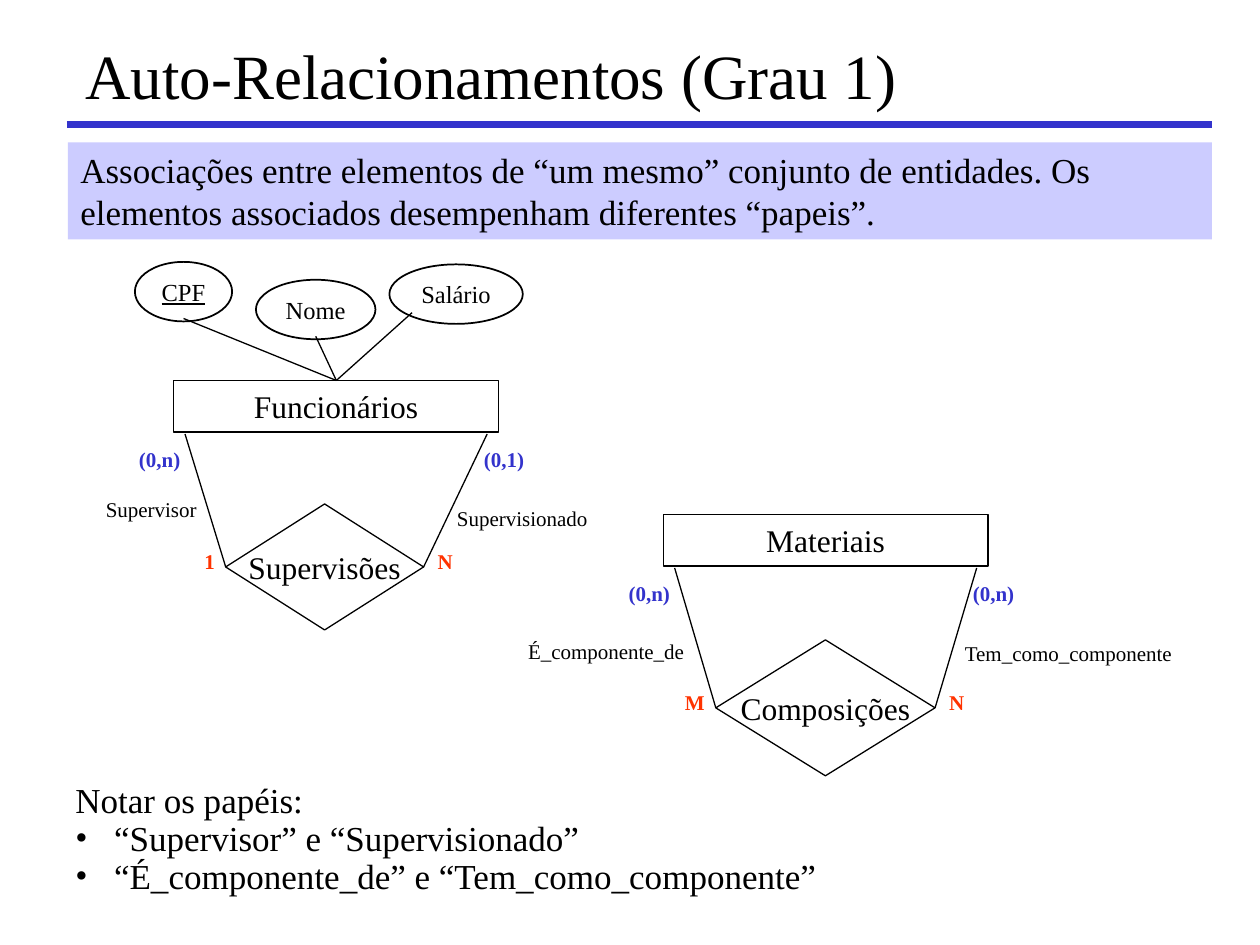
from dataclasses import dataclass

from lxml import etree
from pptx import Presentation
from pptx.dml.color import RGBColor
from pptx.enum import shapes, text
from pptx.oxml import ns
from pptx.util import Cm, Pt

LEFT, CENTER = text.PP_ALIGN.LEFT, text.PP_ALIGN.CENTER
TOP, MIDDLE = text.MSO_ANCHOR.TOP, text.MSO_ANCHOR.MIDDLE


@dataclass(frozen=True)
class Theme:
    font: str = "Times New Roman"
    ink: str = "000000"
    blue: str = "3333CC"
    red: str = "FF3300"
    panel: str = "CCCCFF"
    title: int = 36
    body: int = 20
    entity: int = 18
    attribute: int = 14
    label: int = 12
    thin: float = 0.75


T = Theme()


def rgb(value):
    return RGBColor.from_string(value)


def write(sp, content, size, color=T.ink, bold=False, underline=False,
          align=LEFT, anchor=TOP, wrap=True):
    tf = sp.text_frame
    tf.text = content
    tf.word_wrap = wrap
    tf.vertical_anchor = anchor
    for p in tf.paragraphs:
        p.alignment = align
        for r in p.runs:
            r.font.name, r.font.size = T.font, Pt(size)
            r.font.bold, r.font.underline = bold, underline
            r.font.color.rgb = rgb(color)


def add_text(s, box, content, size, **style):
    sp = s.shapes.add_textbox(*map(Cm, box))
    write(sp, content, size, **style)
    return sp


def add_label(s, box, content, **style):
    add_text(s, box, content, T.label, align=CENTER, wrap=False, **style)


def add_node(s, kind, box, content, size, width=T.thin, underline=False):
    """Outlined diagram shape with its name in the middle."""
    sp = s.shapes.add_shape(kind, *map(Cm, box))
    sp.shadow.inherit = False
    sp.fill.background()
    sp.line.color.rgb = rgb(T.ink)
    sp.line.width = Pt(width)
    write(sp, content, size, underline=underline,
          align=CENTER, anchor=MIDDLE, wrap=False)


def add_line(s, start, end, color=T.ink, width=T.thin):
    c = s.shapes.add_connector(shapes.MSO_CONNECTOR.STRAIGHT,
                               *map(Cm, (*start, *end)))
    c.line.color.rgb = rgb(color)
    c.line.width = Pt(width)
    etree.SubElement(c._element.spPr, ns.qn("a:effectLst"))


def add_header(s, x, y, w):
    add_text(s, (x + 0.12, y, w - 0.23, 2.26), "Auto-Relacionamentos (Grau 1)",
             T.title, anchor=MIDDLE)
    add_line(s, (x, y + 2.15), (x + w, y + 2.15), T.blue, 4)


def add_definition(s, box):
    sp = s.shapes.add_shape(shapes.MSO_SHAPE.RECTANGLE, *map(Cm, box))
    sp.shadow.inherit = False
    sp.fill.solid()
    sp.fill.fore_color.rgb = rgb(T.panel)
    sp.line.fill.background()
    write(sp, "Associações entre elementos de “um mesmo” conjunto de entidades. "
              "Os elementos associados desempenham diferentes “papeis”.", T.body)


def add_attributes(s, x, y, target):
    """Ovals, each joined to the target from a point given as a share of its size."""
    height = 1.2
    ovals = [
        ("CPF", 0, 0, 1.96, (0.5, 0.95), True),
        ("Nome", 2.44, 0.36, 2.41, (0.5, 0.95), False),
        ("Salário", 5.13, 0.05, 2.69, (0.17, 0.81), False),
    ]
    for name, dx, dy, w, (fx, fy), is_key in ovals:
        left, top = x + dx, y + dy
        add_node(s, shapes.MSO_SHAPE.OVAL, (left, top, w, height), name,
                 T.attribute, width=1, underline=is_key)
        add_line(s, (left + fx * w, top + fy * height), target)


def add_self_relationship(s, box, entity, relation, diamond, sides):
    """Entity in the box, linked twice to the diamond below it.

    Each side holds cardinality, (degree, width) and (role, width, dx, dy).
    """
    x, y, w, h = box
    dx, dy, dw, dh = diamond
    left, middle = x + dx, y + dy + dh / 2
    add_node(s, shapes.MSO_SHAPE.RECTANGLE, box, entity, T.entity)
    add_node(s, shapes.MSO_SHAPE.FLOWCHART_DECISION,
             (left, y + dy, dw, dh), relation, T.entity)

    card_w, label_h, inset = 1.34, 0.76, 0.23
    links = [(x + inset, left, x - 0.95), (x + w - inset, left + dw, x + 5.99)]
    for i, (top_x, tip_x, card_x) in enumerate(links):
        cardinality, (degree, degree_w), (role, role_w, role_dx, role_dy) = sides[i]
        add_line(s, (tip_x, middle), (top_x, y + h + 0.04))
        add_label(s, (card_x, y + 1.2, card_w, label_h), cardinality,
                  color=T.blue, bold=True)
        degree_x = tip_x + 0.03 - (degree_w if i == 0 else 0)
        add_label(s, (degree_x, middle - 0.5, degree_w, label_h), degree,
                  color=T.red, bold=True)
        add_label(s, (x + role_dx, y + role_dy, role_w, label_h), role)


def add_notes_on_roles(s, box):
    sp = add_text(s, box, "Notar os papéis:\n“Supervisor” e “Supervisionado”\n"
                          "“É_componente_de” e “Tem_como_componente”", T.body)
    indent = Cm(0.78)
    for i, p in enumerate(sp.text_frame.paragraphs):
        p.line_spacing = 0.9
        if i:
            pPr = p._p.get_or_add_pPr()
            pPr.set("marL", str(indent))
            pPr.set("indent", str(-indent))
            etree.SubElement(pPr, ns.qn("a:buFont"), typeface=T.font)
            etree.SubElement(pPr, ns.qn("a:buChar"), char="•")


def main():
    prs = Presentation()
    prs.slide_width, prs.slide_height = Cm(25.4), Cm(19.05)
    s = prs.slides.add_slide(prs.slide_layouts[6])

    add_header(s, 1.35, 0.36, 23.09)
    add_definition(s, (1.37, 2.87, 23.06, 1.96))

    employees = (3.5, 7.67, 6.55, 1.04)
    add_attributes(s, 2.72, 5.28, (6.78, employees[1]))
    add_self_relationship(
        s, employees, "Funcionários", "Supervisões", (1.05, 2.49, 3.99, 2.54),
        [("(0,n)", ("1", 0.71), ("Supervisor", 2.5, -1.7, 2.21)),
         ("(0,1)", ("N", 0.81), ("Supervisionado", 3.4, 5.33, 2.39))])
    add_self_relationship(
        s, (13.37, 10.37, 6.55, 1.04), "Materiais", "Composições",
        (1.06, 2.53, 4.42, 2.74),
        [("(0,n)", ("M", 0.91), ("É_componente_de", 3.9, -3.1, 2.38)),
         ("(0,n)", ("N", 0.81), ("Tem_como_componente", 4.9, 5.72, 2.41))])
    add_notes_on_roles(s, (1.27, 15.67, 23.06, 2.54))

    prs.save("out.pptx")


if __name__ == "__main__":
    main()
